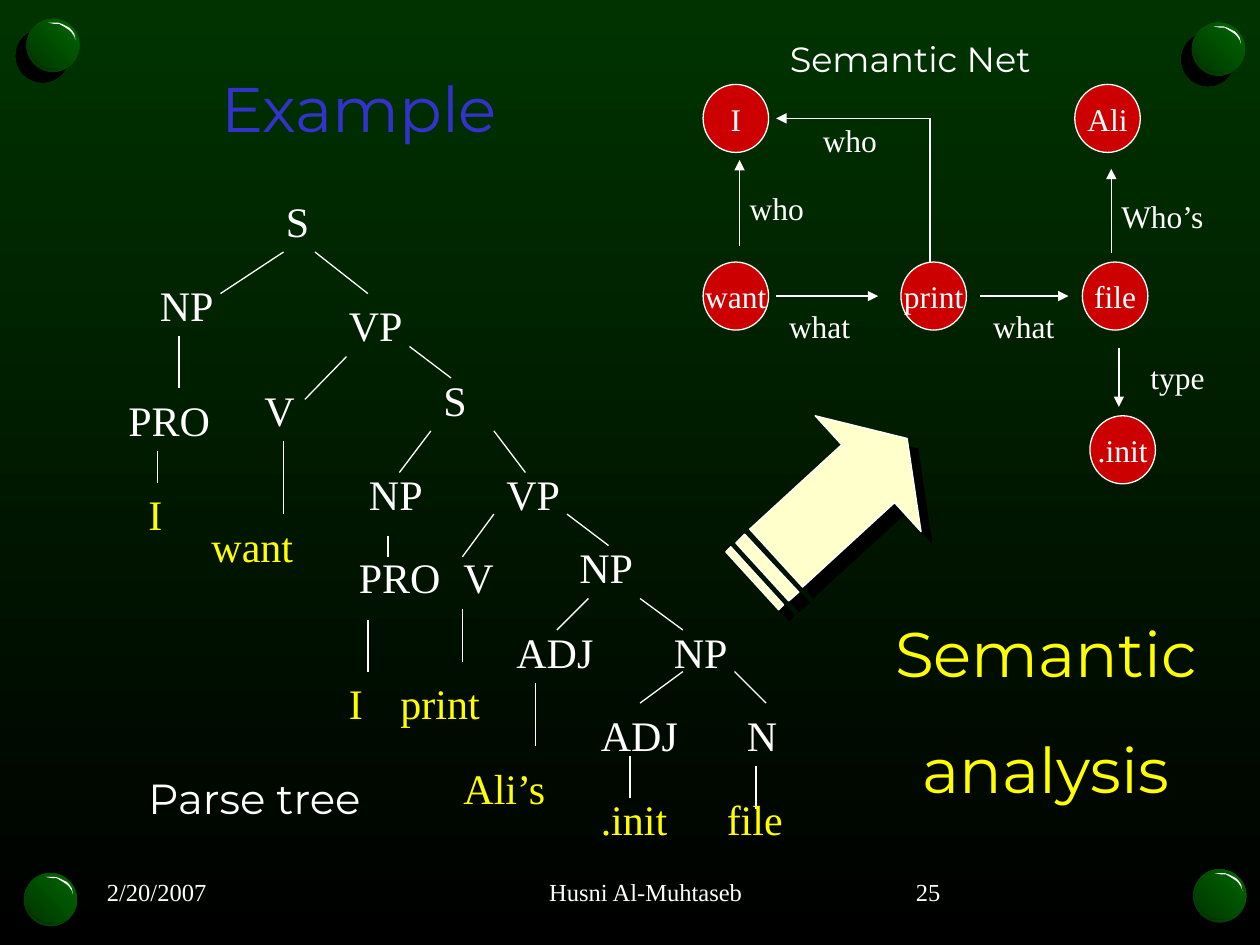
from lxml.etree import SubElement
from pptx import Presentation
from pptx.dml.color import RGBColor as RGB
from pptx.enum.shapes import MSO_CONNECTOR as Link, MSO_SHAPE as Shape
from pptx.enum.text import MSO_ANCHOR as Anchor, PP_ALIGN as Align
from pptx.oxml.ns import qn
from pptx.util import Inches, Pt

WHITE = RGB(0xFF, 0xFF, 0xFF)
BLACK = RGB(0, 0, 0)
DARK = RGB(0, 0x33, 0)
GREEN = RGB(0, 0x66, 0)
YELLOW = RGB(0xFF, 0xFF, 0)
CREAM = RGB(0xFF, 0xFF, 0xCC)
RED = RGB(0xCC, 0, 0)
BLUE = RGB(0x33, 0x33, 0xCC)
SERIF = "Times New Roman"
SANS = "Montserrat"

BALLS = [(0.21, 0.15), (9.46, 0.18), (9.47, 6.9), (0.19, 6.93)]
SHINE = [(0.17, 0.03), (0.25, 0.03), (0.28, 0.04), (0.3, 0.05), (0.34, 0.07),
         (0.36, 0.09), (0.38, 0.12), (0.39, 0.17), (0.38, 0.14), (0.36, 0.11),
         (0.34, 0.09), (0.31, 0.07), (0.26, 0.04), (0.22, 0.04)]
SHADE = [(0.26, 0.39), (0.2, 0.39), (0.16, 0.39), (0.13, 0.37), (0.1, 0.35),
         (0.08, 0.33), (0.06, 0.32), (0.03, 0.25), (0.04, 0.3), (0.06, 0.33),
         (0.08, 0.35), (0.12, 0.38), (0.15, 0.4), (0.19, 0.4), (0.23, 0.4)]

PARTS = [("S", 2.17, 1.5, 0.58), ("NP", 1.17, 2.17, 0.67), ("VP", 2.67, 2.33, 0.67),
         ("NP", 5.25, 4.92, 0.67), ("NP", 4.5, 4.25, 0.67), ("NP", 2.83, 3.67, 0.67),
         ("VP", 3.92, 3.67, 0.67), ("S", 3.42, 2.92, 0.58), ("V", 2, 3, 0.58),
         ("PRO", 0.92, 3.08, 0.92), ("PRO", 2.75, 4.33, 0.92), ("V", 3.58, 4.33, 0.58),
         ("ADJ", 4, 4.92, 0.92), ("ADJ", 4.67, 5.58, 0.92), ("N", 5.83, 5.58, 0.58)]
WORDS = [("I", 1.08, 3.83, 0.58), ("want", 1.58, 4.08, 0.92), ("I", 2.67, 5.33, 0.58),
         ("print", 3.08, 5.33, 0.83), ("Ali’s", 3.58, 6, 1), (".init", 4.67, 6.25, 0.83),
         ("file", 5.67, 6.25, 0.83)]
TWIGS = [(2.25, 2, 1.75, 2.33), (2.5, 2, 2.92, 2.33), (1.42, 2.67, 1.42, 3.08),
         (2.75, 2.83, 2.42, 3.17), (3.25, 2.75, 3.58, 3), (2.25, 3.5, 2.25, 4.08),
         (3.42, 3.42, 3.17, 3.75), (3.92, 3.42, 4.17, 3.75), (3.08, 4.25, 3.08, 4.42),
         (2.92, 4.92, 2.92, 5.33), (3.92, 4.08, 3.67, 4.42), (3.67, 4.83, 3.67, 5.25),
         (4.5, 4.08, 4.83, 4.33), (4.67, 4.75, 4.42, 5), (4.25, 5.42, 4.25, 5.92),
         (5.08, 4.75, 5.42, 5), (5.42, 5.33, 5.08, 5.58), (5.83, 5.33, 6.08, 5.58),
         (1.25, 3.58, 1.25, 3.83), (5, 6, 5, 6.33), (6, 6.08, 6, 6.42)]

ARROW = [[(6.47, 3.3), (6.68, 3.53), (5.95, 4.2), (6.37, 4.66), (7.1, 3.99),
          (7.31, 4.22), (7.2, 3.48)],
         [(5.84, 4.31), (6.26, 4.77), (6.34, 4.7), (5.91, 4.24)],
         [(5.76, 4.38), (6.18, 4.84), (6.22, 4.8), (5.8, 4.34)]]

NODES = [("I", 5.58, 0.67), ("want", 5.58, 2.08), ("print", 7.15, 2.08),
         ("Ali", 8.53, 0.67), (".init", 8.65, 3.3), ("file", 8.59, 2.08)]
ROLES = [("who", 5.76, 1.48), ("what", 6.1, 2.42), ("who", 6.34, 0.94),
         ("Who’s", 8.82, 1.54), ("what", 7.72, 2.42), ("type", 8.94, 2.82)]
LINKS = [(5.87, 1.95, 5.87, 1.27), (6.16, 2.35, 6.97, 2.35), (7.78, 2.35, 8.48, 2.35),
         (8.82, 2.01, 8.82, 1.34), (8.88, 2.76, 8.88, 3.23), (7.38, 0.94, 6.16, 0.94)]


def blend(fill, first, last, angle):
    fill.gradient()
    fill.gradient_angle = angle
    for stop, color, place in zip(fill.gradient_stops, (first, last), (0, 1)):
        stop.color.rgb = color
        stop.position = place


def paint(shape, fill, edge=None):
    shape.shadow.inherit = False
    shape.fill.solid()
    shape.fill.fore_color.rgb = fill
    if edge is None:
        shape.line.fill.background()
    else:
        shape.line.color.rgb = edge
        shape.line.width = Pt(0.75)


def cast(shape, angle):
    effects = shape._element.spPr.find(qn("a:effectLst"))
    shadow = SubElement(effects, qn("a:outerShdw"), dist=str(Pt(8.5)),
                        dir=str(angle * 60000), algn="ctr", rotWithShape="0")
    SubElement(shadow, qn("a:srgbClr"), val=str(BLACK))


def write(shape, text, size, color=WHITE, font=SERIF, center=False, middle=False):
    frame = shape.text_frame
    frame.word_wrap = not center
    if center:
        frame.margin_left = frame.margin_right = 0
    frame.vertical_anchor = Anchor.MIDDLE if middle else Anchor.TOP
    para = frame.paragraphs[0]
    para.text = text
    para.alignment = Align.CENTER if center else Align.LEFT
    para.font.size = Pt(size)
    para.font.name = font
    para.font.color.rgb = color


def label(shapes, text, x, y, w, h, size, **style):
    box = shapes.add_textbox(Inches(x), Inches(y), Inches(w), Inches(h))
    write(box, text, size, **style)


def line(shapes, x1, y1, x2, y2, tip=False):
    link = shapes.add_connector(Link.STRAIGHT, Inches(x1), Inches(y1), Inches(x2), Inches(y2))
    link.line.color.rgb = WHITE
    link.line.width = Pt(0.75)
    if tip:
        SubElement(link.line._get_or_add_ln(), qn("a:tailEnd"), type="triangle")
    SubElement(link._element.spPr, qn("a:effectLst"))


def patch(shapes, x, y, rings, color, edge=None):
    rings = [[(Inches(x + dx), Inches(y + dy)) for dx, dy in ring] for ring in rings]
    pen = shapes.build_freeform(*rings[0][0])
    for ring in rings:
        if ring is not rings[0]:
            pen.move_to(*ring[0])
        pen.add_line_segments(ring[1:], close=True)
    shape = pen.convert_to_shape()
    paint(shape, color, edge)
    return shape


def ball(shapes, x, y):
    disc = shapes.add_shape(Shape.OVAL, Inches(x), Inches(y), Inches(0.42), Inches(0.42))
    paint(disc, GREEN)
    blend(disc.fill, DARK, GREEN, 45)
    cast(disc, 135)
    patch(shapes, x, y, [SHINE], WHITE)
    patch(shapes, x, y, [SHADE], DARK)


def node(shapes, text, x, y):
    disc = shapes.add_shape(Shape.OVAL, Inches(x), Inches(y), Inches(0.52), Inches(0.54))
    paint(disc, RED, WHITE)
    write(disc, text, 18, center=True, middle=True)


def tree(shapes):
    for twig in TWIGS:
        line(shapes, *twig)
    for items, color in ((PARTS, WHITE), (WORDS, YELLOW)):
        for text, x, y, w in items:
            label(shapes, text, x, y, w, 0.5, 24, color=color)
    label(shapes, "Parse tree", 1.08, 6.08, 2.42, 0.5, 24, font=SANS)


def net(shapes):
    for item in NODES:
        node(shapes, *item)
    for ends in LINKS:
        line(shapes, *ends, tip=True)
    line(shapes, 7.38, 2.08, 7.38, 0.94)
    for text, x, y in ROLES:
        label(shapes, text, x, y, 0.81, 0.34, 18, center=True, middle=True)
    label(shapes, "Semantic Net", 6.17, 0.25, 2.5, 0.43, 20, font=SANS)


def main():
    deck = Presentation()
    deck.slide_width, deck.slide_height = Inches(10), Inches(7.5)
    slide = deck.slides.add_slide(deck.slide_layouts[6])
    blend(slide.background.fill, DARK, BLACK, 270)
    shapes = slide.shapes
    for spot in BALLS:
        ball(shapes, *spot)
    label(shapes, "2/20/2007", 0.75, 6.83, 2.43, 0.5, 14, middle=True)
    label(shapes, "Husni Al-Muhtaseb", 3.27, 6.83, 3.71, 0.5, 14, center=True, middle=True)
    label(shapes, "25", 7.17, 6.83, 2.19, 0.5, 14, middle=True)
    tree(shapes)
    cast(patch(shapes, 0, 0, ARROW, CREAM, WHITE), 45)
    net(shapes)
    label(shapes, "Example", 1.67, 0.5, 2.36, 0.96, 36, color=BLUE, font=SANS, center=True)
    for text, y in (("Semantic", 4.83), ("analysis", 5.75)):
        label(shapes, text, 7, y, 2.6, 0.9, 36, color=YELLOW, font=SANS, center=True)
    deck.save("out.pptx")


if __name__ == "__main__":
    main()
